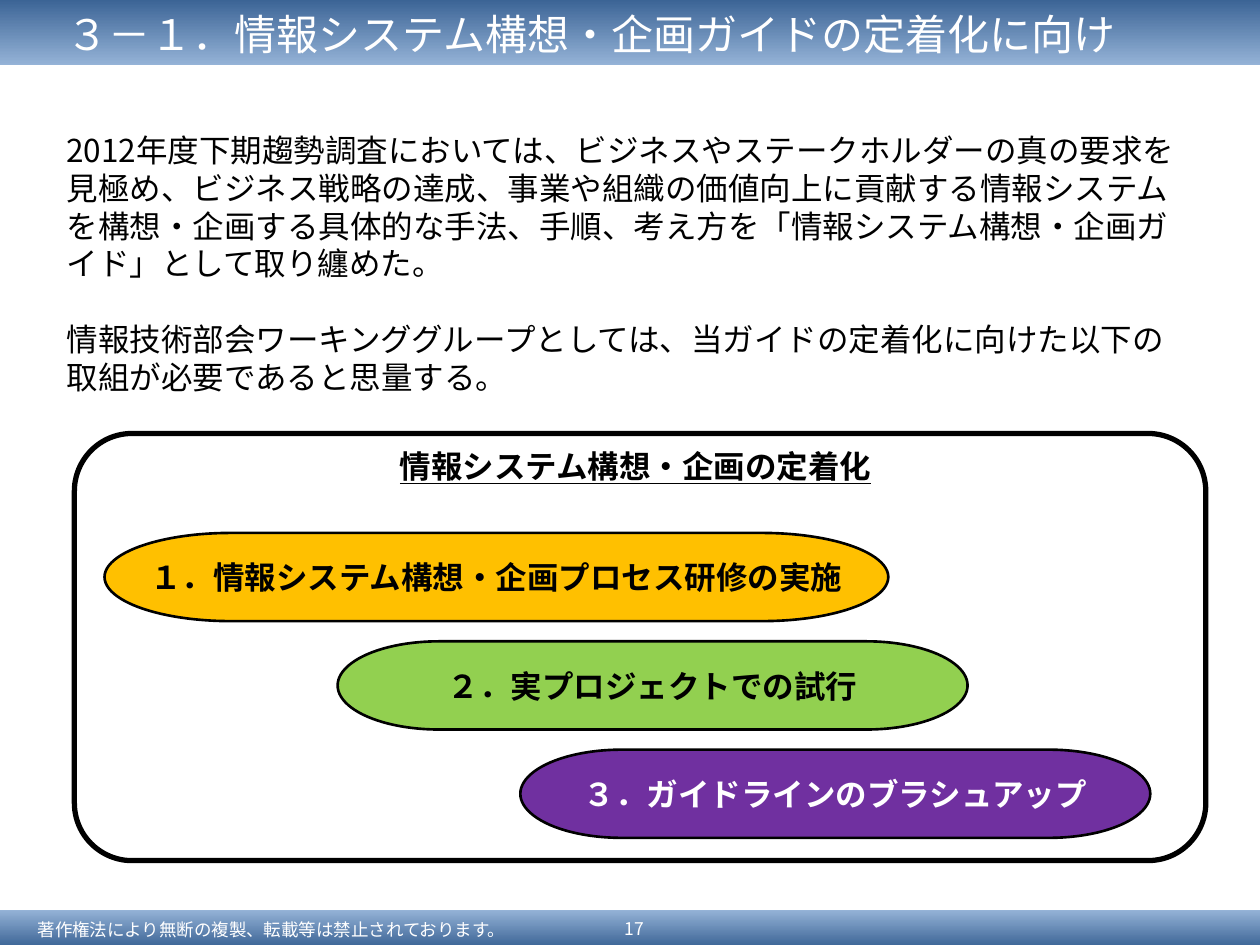
from pptx import Presentation
from pptx.dml.color import RGBColor
from pptx.enum.shapes import MSO_SHAPE
from pptx.enum.text import MSO_ANCHOR, MSO_AUTO_SIZE, PP_ALIGN
from pptx.util import Inches, Pt

FONT = "Noto Sans CJK JP"
BLACK, WHITE = "000000", "FFFFFF"
DARK_BLUE, LIGHT_BLUE = "376092", "95B3D7"
LINE_HEIGHT = 1.2


def color(value):
    return RGBColor.from_string(value)


def add_span(para, text, size, ink, bold=False, underline=False):
    span = para.add_run()
    span.text = text
    font = span.font
    font.name, font.size, font.bold = FONT, Pt(size), bold
    font.underline = underline
    font.color.rgb = color(ink)
    # East Asian glyphs use the same typeface
    latin = font._element.find("{*}latin")
    east_asian = latin.makeelement(latin.tag.replace("latin", "ea"), {"typeface": FONT})
    latin.addnext(east_asian)


def add_text(page, area, texts, size, ink=BLACK, align=PP_ALIGN.LEFT,
             anchor=MSO_ANCHOR.TOP, pad=0.05, gap=0, **style):
    box = page.shapes.add_textbox(*map(Inches, area))
    frame = box.text_frame
    frame.word_wrap = True
    frame.auto_size = MSO_AUTO_SIZE.SHAPE_TO_FIT_TEXT
    frame.vertical_anchor = anchor
    frame.margin_top = frame.margin_bottom = Inches(pad)
    for index, text in enumerate(texts):
        para = frame.add_paragraph() if index else frame.paragraphs[0]
        para.alignment = align
        para.line_spacing = Pt(size * LINE_HEIGHT)
        if index:
            para.space_before = Pt(gap)
        add_span(para, text, size, ink, **style)


def add_outline(page, kind, area, line_width):
    shape = page.shapes.add_shape(kind, *map(Inches, area))
    shape.shadow.inherit = False
    shape.line.color.rgb = color(BLACK)
    shape.line.width = Pt(line_width)
    return shape


def add_band(page, top, height, lower, upper):
    band = page.shapes.add_shape(
        MSO_SHAPE.RECTANGLE, 0, Inches(top), Inches(10), Inches(height))
    band.shadow.inherit = False
    band.line.fill.background()
    band.fill.gradient()
    band.fill.gradient_angle = 90
    for stop, value, position in zip(band.fill.gradient_stops, (lower, upper), (0, 1)):
        stop.color.rgb = color(value)
        stop.position = position


def add_step(page, area, text, fill, ink):
    step = add_outline(page, MSO_SHAPE.FLOWCHART_TERMINATOR, area, 1.5)
    step.fill.solid()
    step.fill.fore_color.rgb = color(fill)
    frame = step.text_frame
    frame.word_wrap = False
    frame.vertical_anchor = MSO_ANCHOR.MIDDLE
    frame.margin_left = frame.margin_right = Inches(0.08)
    frame.margin_top = frame.margin_bottom = 0
    para = frame.paragraphs[0]
    para.alignment = PP_ALIGN.CENTER
    add_span(para, text, 18, ink, bold=True)


def main():
    deck = Presentation()
    deck.slide_width, deck.slide_height = Inches(10), Inches(7.5)
    page = deck.slides.add_slide(deck.slide_layouts[6])

    # Footer and title bands
    add_band(page, 7.22, 0.31, DARK_BLUE, LIGHT_BLUE)
    add_band(page, -0.03, 0.55, LIGHT_BLUE, DARK_BLUE)
    add_text(page, (0.2, 7.25, 4.25, 0.25),
             ["著作権法により無断の複製、転載等は禁止されております。"],
             10, WHITE, anchor=MSO_ANCHOR.MIDDLE, pad=0.04)
    add_text(page, (4.76, 7.23, 0.55, 0.28), ["17"], 10, WHITE,
             PP_ALIGN.CENTER, MSO_ANCHOR.MIDDLE, pad=0.04)
    add_text(page, (0.43, 0.02, 8.74, 0.9),
             ["３－１．情報システム構想・企画ガイドの定着化に向けて"], 24, WHITE)

    # Introduction, with one line of space between the paragraphs
    add_text(page, (0.43, 0.99, 9.06, 2.2), [
        "2012年度下期趨勢調査においては、ビジネスやステークホルダーの真の要求を"
        "見極め、ビジネス戦略の達成、事業や組織の価値向上に貢献する情報システム"
        "を構想・企画する具体的な手法、手順、考え方を「情報システム構想・企画ガ"
        "イド」として取り纏めた。",
        "情報技術部会ワーキンググループとしては、当ガイドの定着化に向けた以下の"
        "取組が必要であると思量する。",
    ], 18, gap=18 * LINE_HEIGHT)

    # Frame around the steps
    frame = add_outline(page, MSO_SHAPE.ROUNDED_RECTANGLE, (0.59, 3.44, 8.98, 3.39), 3)
    frame.adjustments[0] = 0.135
    frame.fill.background()
    add_text(page, (2.8, 3.5, 4.49, 0.4), ["情報システム構想・企画の定着化"], 18,
             align=PP_ALIGN.CENTER, bold=True, underline=True)

    # Steps going down to the right
    steps = [
        (0.83, 6.22, "１．情報システム構想・企画プロセス研修の実施", "FFC000", BLACK),
        (2.68, 5, "２．実プロジェクトでの試行", "92D050", BLACK),
        (4.13, 5, "３．ガイドラインのブラシュアップ", "7030A0", WHITE),
    ]
    for index, (left, width, text, fill, ink) in enumerate(steps):
        add_step(page, (left, 4.23 + 0.86 * index, width, 0.7), text, fill, ink)

    deck.save("out.pptx")


if __name__ == "__main__":
    main()
